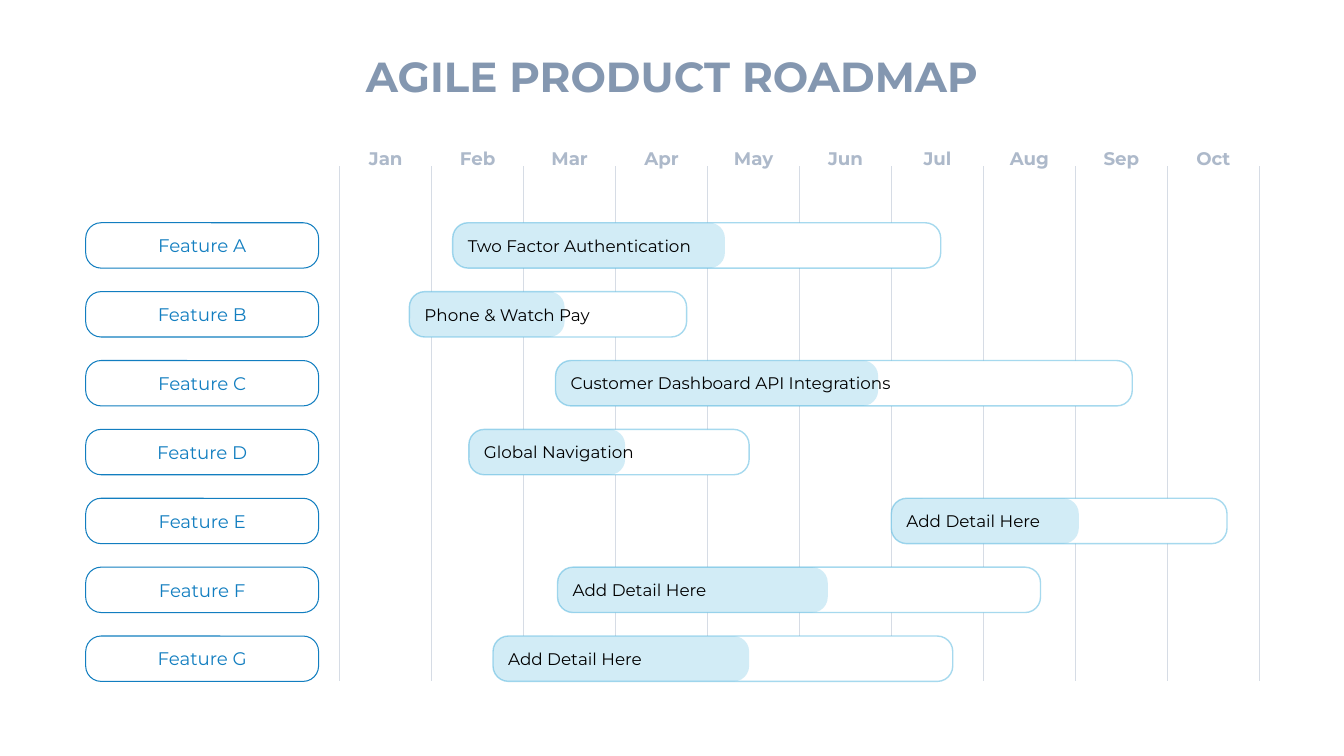
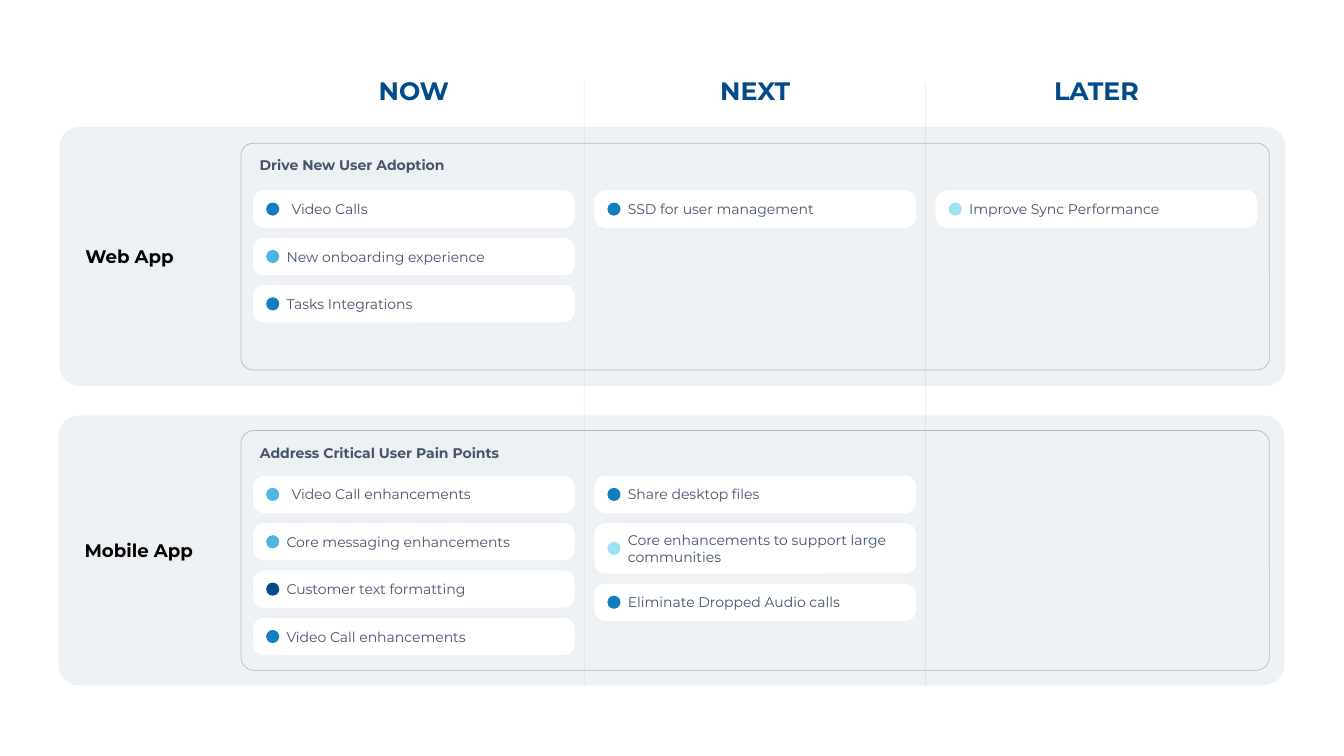
import pptx
import pptx.dml.color
import pptx.enum.shapes
import pptx.enum.text
import pptx.oxml.ns
import pptx.util
from lxml import etree

Inches = pptx.util.Inches
RGBColor = pptx.dml.color.RGBColor
SHAPE = pptx.enum.shapes.MSO_SHAPE
ALIGN = pptx.enum.text.PP_ALIGN
ANCHOR = pptx.enum.text.MSO_ANCHOR
qn = pptx.oxml.ns.qn

FONT = "Montserrat"
BLACK = RGBColor(0x00, 0x00, 0x00)
WHITE = RGBColor(0xFF, 0xFF, 0xFF)
NAVY = RGBColor(0x01, 0x4B, 0x8A)
BLUE = RGBColor(0x12, 0x7E, 0xC0)
SKY = RGBColor(0x4F, 0xB4, 0xDE)
ICE = RGBColor(0x9D, 0xE1, 0xF4)
SLATE = RGBColor(0x44, 0x54, 0x6A)
STEEL = RGBColor(0x84, 0x97, 0xB0)
MIST = RGBColor(0xAD, 0xB9, 0xCA)
PALE = RGBColor(0xD6, 0xDC, 0xE5)

MONTHS = ("Jan", "Feb", "Mar", "Apr", "May", "Jun", "Jul", "Aug", "Sep", "Oct")
# Feature, task, start, planned length, finished length
FEATURES = (
    ("Feature A", "Two Factor Authentication", 4.49, 4.84, 2.7),
    ("Feature B", "Phone & Watch Pay", 4.06, 2.75, 1.54),
    ("Feature C", "Customer Dashboard API Integrations", 5.51, 5.72, 3.2),
    ("Feature D", "Global Navigation", 4.65, 2.78, 1.55),
    ("Feature E", "Add Detail Here", 8.84, 3.33, 1.86),
    ("Feature F", "Add Detail Here", 5.53, 4.79, 2.68),
    ("Feature G", "Add Detail Here", 4.89, 4.56, 2.54),
)
ROW_HEIGHT = 0.45

PHASES = ("NOW", "NEXT", "LATER")
PHASE_LEFT, PHASE_PITCH = 2.51, 3.385
CARD_WIDTH, CARD_HEIGHT, TALL_CARD, CARD_GAP = 3.19, 0.37, 0.5, 0.1
CARD_RADIUS = 0.11
DOT_SIZE = 0.13
INDENT, WIDE_INDENT = 0.3, 0.35

# Each card: text, dot colour, text indent, height
WEB_CARDS = (
    (("Video Calls", BLUE, WIDE_INDENT, CARD_HEIGHT),
     ("New onboarding experience", SKY, INDENT, CARD_HEIGHT),
     ("Tasks Integrations", BLUE, INDENT, CARD_HEIGHT)),
    (("SSD for user management", BLUE, INDENT, CARD_HEIGHT),),
    (("Improve Sync Performance", ICE, INDENT, CARD_HEIGHT),),
)
MOBILE_CARDS = (
    (("Video Call enhancements", SKY, WIDE_INDENT, CARD_HEIGHT),
     ("Core messaging enhancements", SKY, INDENT, CARD_HEIGHT),
     ("Customer text formatting", NAVY, INDENT, CARD_HEIGHT),
     ("Video Call enhancements", BLUE, INDENT, CARD_HEIGHT)),
    (("Share desktop files", BLUE, INDENT, CARD_HEIGHT),
     ("Core enhancements to support large communities", ICE, INDENT, TALL_CARD),
     ("Eliminate Dropped Audio calls", BLUE, INDENT, CARD_HEIGHT)),
    (),
)


def set_alpha(holder, percent):
    """Set the opacity of the solid colour found inside an XML element."""
    colour = holder.find(".//" + qn("a:srgbClr"))
    etree.SubElement(colour, qn("a:alpha")).set("val", str(percent * 1000))


def write(shape, text, size, colour, bold=False, align=ALIGN.LEFT,
          anchor=ANCHOR.MIDDLE, wrap=True, insets=(0.1, 0.05, 0.1, 0.05)):
    """Fill a shape with one run of text and return the run."""
    frame = shape.text_frame
    frame.word_wrap = wrap
    frame.vertical_anchor = anchor
    (frame.margin_left, frame.margin_top,
     frame.margin_right, frame.margin_bottom) = map(Inches, insets)
    para = frame.paragraphs[0]
    para.alignment = align
    span = para.add_run()
    span.text = text
    span.font.name = FONT
    span.font.size = pptx.util.Pt(size)
    span.font.bold = bold
    span.font.color.rgb = colour
    return span


def add_label(slide, box, text, size, colour, **style):
    label = slide.shapes.add_textbox(*map(Inches, box))
    return write(label, text, size, colour, **style)


def add_round_box(slide, box, radius, fill=None, fill_alpha=100,
                  line=None, line_width=1, line_alpha=100):
    """Add a rounded rectangle whose corner radius is in inches."""
    shape = slide.shapes.add_shape(SHAPE.ROUNDED_RECTANGLE, *map(Inches, box))
    shape.shadow.inherit = False
    shape.adjustments[0] = radius / min(box[2:])
    if fill is None:
        shape.fill.background()
    else:
        shape.fill.solid()
        shape.fill.fore_color.rgb = fill
        if fill_alpha < 100:
            set_alpha(shape.element.spPr.find(qn("a:solidFill")), fill_alpha)
    if line is None:
        shape.line.fill.background()
    else:
        style_line(shape, line, line_width, line_alpha)
    return shape


def style_line(shape, colour, width, alpha):
    shape.line.color.rgb = colour
    shape.line.width = pptx.util.Pt(width)
    if alpha < 100:
        set_alpha(shape.element.spPr.find(qn("a:ln")), alpha)


def add_vertical_rule(slide, x, top, bottom, colour, alpha=100):
    rule = slide.shapes.add_connector(
        pptx.enum.shapes.MSO_CONNECTOR.STRAIGHT,
        Inches(x), Inches(top), Inches(x), Inches(bottom))
    style_line(rule, colour, 0.5, alpha)
    etree.SubElement(rule.element.spPr, qn("a:effectLst"))


def add_title(slide, box, text):
    span = add_label(slide, box, text, 30, STEEL, bold=True, align=ALIGN.CENTER,
                     wrap=False, insets=(0.2, 0.1, 0.2, 0.1))
    fill = span.font.fill
    fill.gradient()
    fill.gradient_angle = 270
    for stop, colour in zip(fill.gradient_stops, (STEEL, SLATE)):
        stop.color.rgb = colour


def add_month_grid(slide, box):
    left, top, width, height = box
    pitch = width / len(MONTHS)
    for index in range(len(MONTHS) + 1):
        add_vertical_rule(slide, left + index * pitch, top, top + height, PALE)
    for index, month in enumerate(MONTHS):
        add_label(slide, (left + index * pitch, top - 0.24, pitch, 0.32), month,
                  13, MIST, bold=True, align=ALIGN.CENTER, wrap=False)


def add_feature_row(slide, box, feature, task, start, planned, finished):
    left, top, width, height = box
    radius = 0.34 * height
    badge = add_round_box(slide, box, radius, WHITE, line=BLUE, line_width=0.75)
    write(badge, feature, 13, BLUE, align=ALIGN.CENTER)
    add_round_box(slide, (start, top, planned, height), radius, WHITE,
                  line=SKY, line_alpha=50)
    add_round_box(slide, (start, top, finished, height), radius, SKY, 25)
    add_label(slide, (start, top, finished * 1.32, height), task, 12, BLACK,
              insets=(0.15, 0.05, 0.1, 0.05))


def add_card(slide, box, text, dot_colour, indent):
    left, top, width, height = box
    card = add_round_box(slide, box, CARD_RADIUS, WHITE)
    write(card, text, 10, SLATE, insets=(indent, 0.05, 0.1, 0.05))
    dot_box = (left + 0.13, top + (height - DOT_SIZE) / 2, DOT_SIZE, DOT_SIZE)
    add_round_box(slide, dot_box, DOT_SIZE / 2, dot_colour)


def add_lane(slide, band_box, frame_box, cards_top, name, goal, columns):
    """Add one product band with its goal frame and columns of cards."""
    band = add_round_box(slide, band_box, 0.077 * band_box[3], PALE, 40)
    write(band, name, 13, BLACK, bold=True, insets=(0.2, 0.05, 0.1, 0.05))
    frame = add_round_box(slide, frame_box, 0.055 * frame_box[3],
                          line=MIST, line_width=0.5)
    write(frame, goal, 10, SLATE, bold=True, anchor=ANCHOR.TOP,
          insets=(0.15, 0.1, 0.1, 0.05))
    for index, cards in enumerate(columns):
        left, top = PHASE_LEFT + index * PHASE_PITCH, cards_top
        for text, dot_colour, indent, height in cards:
            add_card(slide, (left, top, CARD_WIDTH, height),
                     text, dot_colour, indent)
            top += height + CARD_GAP


def add_phases(slide, top, bottom):
    """Add the phase headings and the rules between their columns."""
    for index, phase in enumerate(PHASES):
        left = PHASE_LEFT + index * PHASE_PITCH
        add_label(slide, (left, top, CARD_WIDTH, 0.4), phase, 18, NAVY, bold=True,
                  align=ALIGN.CENTER, anchor=ANCHOR.TOP, wrap=False)
        if index:
            add_vertical_rule(slide, left - 0.1, top + 0.12, bottom, MIST, 25)


def build_timeline(slide):
    add_title(slide, (3.39, 0.4, 6.55, 0.71), "AGILE PRODUCT ROADMAP")
    add_month_grid(slide, (3.37, 1.65, 9.12, 5.11))
    first, last = 2.21, 6.31
    pitch = (last - first) / (len(FEATURES) - 1)
    for index, row in enumerate(FEATURES):
        add_feature_row(slide, (0.85, first + index * pitch, 2.31, ROW_HEIGHT), *row)


def build_phase_board(slide):
    add_lane(slide, (0.59, 1.26, 12.16, 2.57), (2.39, 1.42, 10.2, 2.25), 1.89,
             "Web App", "Drive New User Adoption", WEB_CARDS)
    add_lane(slide, (0.58, 4.12, 12.16, 2.68), (2.39, 4.27, 10.2, 2.38), 4.72,
             "Mobile App", "Address Critical User Pain Points", MOBILE_CARDS)
    add_phases(slide, 0.7, 6.8)


def main():
    deck = pptx.Presentation()
    deck.slide_width, deck.slide_height = Inches(13.33), Inches(7.5)
    for build in (build_timeline, build_phase_board):
        build(deck.slides.add_slide(deck.slide_layouts[6]))
    deck.save("out.pptx")


if __name__ == "__main__":
    main()
